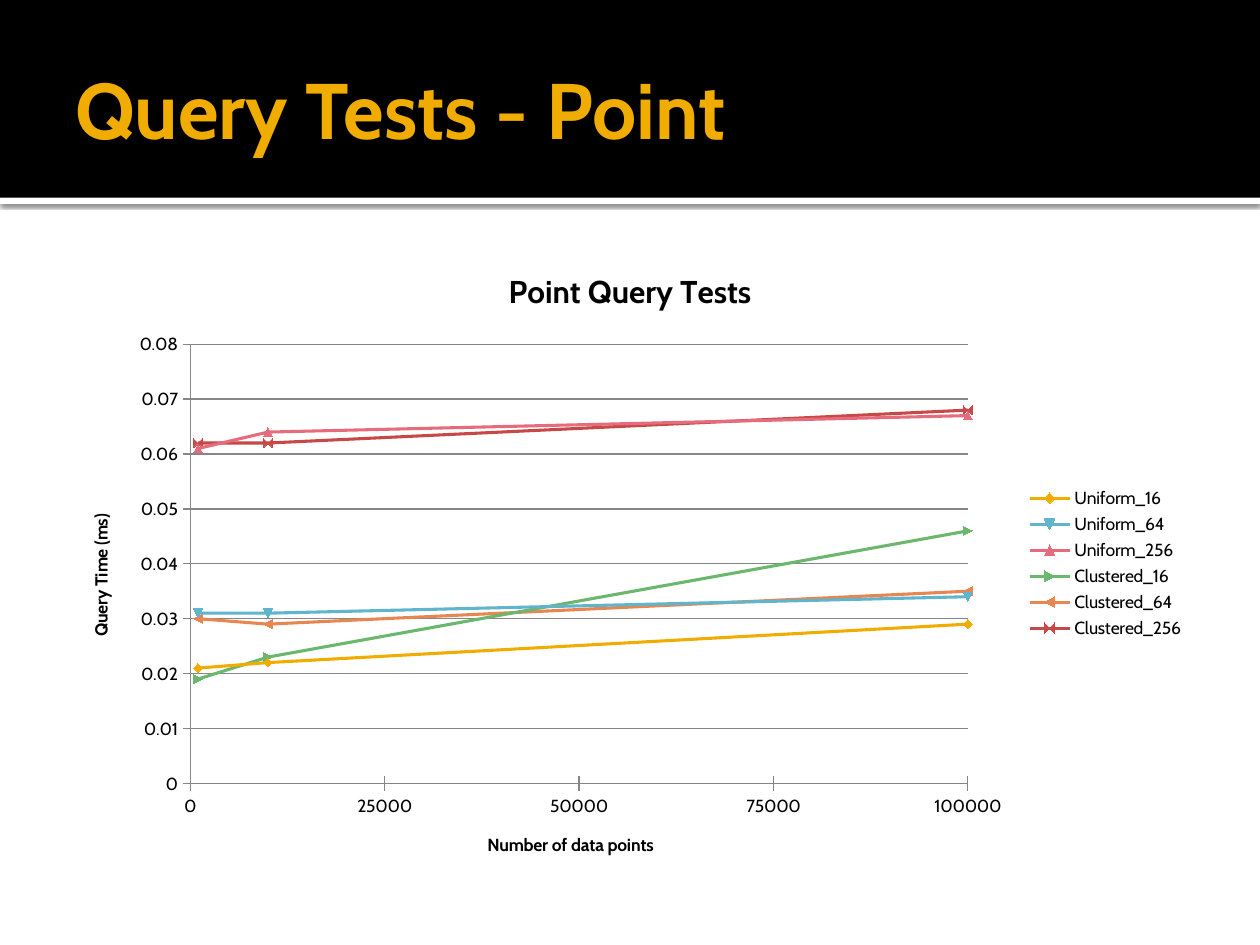
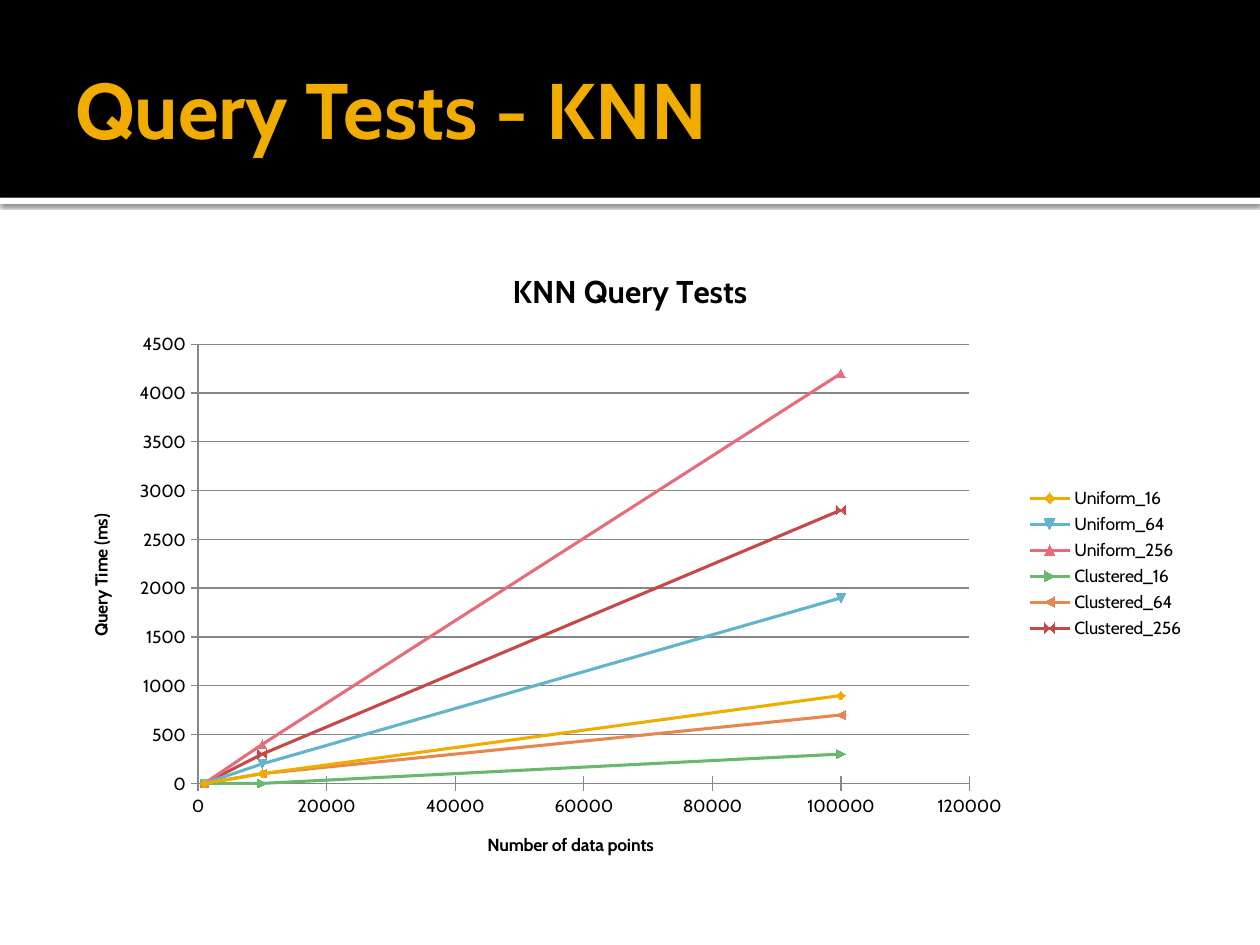
from dataclasses import dataclass

from lxml.etree import SubElement
from pptx import Presentation
from pptx.chart.data import XyChartData
from pptx.dml.color import RGBColor
from pptx.enum.chart import XL_CHART_TYPE, XL_LEGEND_POSITION, XL_TICK_MARK
from pptx.enum.shapes import MSO_SHAPE
from pptx.enum.text import MSO_ANCHOR
from pptx.oxml.ns import qn
from pptx.util import Pt

FONT = "Cabin"
COLORS = {
    "black": "000000",
    "white": "FFFFFF",
    "title": "F0AD00",
    "grid": "868686",
}
SERIES_COLORS = {
    "Uniform_16": "F0AD00",
    "Uniform_64": "60B5CC",
    "Uniform_256": "E66C7D",
    "Clustered_16": "6BB76D",
    "Clustered_64": "E88651",
    "Clustered_256": "C64847",
}
DATA_POINTS = (1000, 10000, 100000)
SLIDE_WIDTH, SLIDE_HEIGHT = 720, 540
BAND_HEIGHT, STRIP_HEIGHT = 113, 3.6


@dataclass
class QueryTest:
    name: str
    times: tuple  # one row per series, in the order of SERIES_COLORS
    size_limit: int | None = None
    size_step: int | None = None


QUERY_TESTS = (
    QueryTest(
        "Point",
        (
            (0.021, 0.022, 0.029),
            (0.031, 0.031, 0.034),
            (0.061, 0.064, 0.067),
            (0.019, 0.023, 0.046),
            (0.03, 0.029, 0.035),
            (0.062, 0.062, 0.068),
        ),
        size_limit=100000,
        size_step=25000,
    ),
    QueryTest(
        "KNN",
        (
            (0, 100, 900),
            (0, 200, 1900),
            (0, 400, 4200),
            (0, 0, 300),
            (0, 100, 700),
            (0, 300, 2800),
        ),
    ),
)


def rgb(value: str) -> RGBColor:
    return RGBColor.from_string(value)


def write_text(frame, text: str, *, size: float, color: str = "black", bold: bool = True) -> None:
    run = frame.paragraphs[0].add_run()
    run.text = text
    run.font.name = FONT
    run.font.size = Pt(size)
    run.font.bold = bold
    run.font.color.rgb = rgb(COLORS[color])


def add_bar(slide, top: float, height: float, color: str):
    bar = slide.shapes.add_shape(MSO_SHAPE.RECTANGLE, 0, Pt(top), Pt(SLIDE_WIDTH), Pt(height))
    bar.shadow.inherit = False
    bar.fill.solid()
    bar.fill.fore_color.rgb = rgb(COLORS[color])
    bar.line.fill.background()
    return bar


def add_soft_shadow(bar) -> None:
    effects = bar._element.spPr.find(qn("a:effectLst"))
    shadow = SubElement(
        effects, qn("a:outerShdw"), blurRad=str(Pt(2.5)), dist=str(Pt(0.8)),
        dir="5400000", algn="tl", rotWithShape="0",
    )
    shade = SubElement(shadow, qn("a:srgbClr"), val=COLORS["black"])
    SubElement(shade, qn("a:alpha"), val="60000")


def add_header(slide, heading: str) -> None:
    # White strip with a shadow, under the black band
    add_soft_shadow(add_bar(slide, BAND_HEIGHT, STRIP_HEIGHT, "white"))
    add_bar(slide, 0, BAND_HEIGHT, "black")

    title = slide.shapes.add_textbox(Pt(36), Pt(12.2), Pt(648), Pt(98.6)).text_frame
    title.word_wrap = True
    title.vertical_anchor = MSO_ANCHOR.MIDDLE
    title.margin_left = Pt(7.2)
    title.margin_right = title.margin_top = title.margin_bottom = Pt(3.6)
    write_text(title, heading, size=45, color="title")


def style_axis(axis, title: str, gridlines: bool) -> None:
    write_text(axis.axis_title.text_frame, title, size=10)
    axis.major_tick_mark = XL_TICK_MARK.CROSS
    axis.has_major_gridlines = gridlines
    lines = [axis.format.line]
    if gridlines:
        lines.append(axis.major_gridlines.format.line)
    for line in lines:
        line.color.rgb = rgb(COLORS["grid"])
        line.width = Pt(0.75)


def add_query_chart(slide, test: QueryTest) -> None:
    data = XyChartData()
    for name, times in zip(SERIES_COLORS, test.times):
        series = data.add_series(name)
        for size, time in zip(DATA_POINTS, times):
            series.add_data_point(size, time)

    chart = slide.shapes.add_chart(
        XL_CHART_TYPE.XY_SCATTER_LINES, Pt(36), Pt(139.7), Pt(648), Pt(364.3), data
    ).chart
    chart.font.name = FONT
    chart.font.size = Pt(10)
    chart.font.color.rgb = rgb(COLORS["black"])
    chart.has_title = True
    write_text(chart.chart_title.text_frame, f"{test.name} Query Tests", size=18)
    chart.has_legend = True
    chart.legend.position = XL_LEGEND_POSITION.RIGHT
    chart.legend.include_in_layout = False

    # Axes
    sizes = chart.category_axis
    style_axis(sizes, "Number of data points", gridlines=False)
    style_axis(chart.value_axis, "Query Time (ms)", gridlines=True)
    if test.size_limit:
        sizes.minimum_scale = 0
        sizes.maximum_scale = test.size_limit
        sizes.major_unit = test.size_step

    # Series lines and their markers
    plot = chart.plots[0]
    plot.vary_by_categories = False
    for series in plot.series:
        color = rgb(SERIES_COLORS[series.name])
        series.smooth = False
        series.format.line.color.rgb = color
        series.format.line.width = Pt(1.75)
        series.marker.format.fill.solid()
        series.marker.format.fill.fore_color.rgb = color
        series.marker.format.line.color.rgb = color


presentation = Presentation()
presentation.slide_width = Pt(SLIDE_WIDTH)
presentation.slide_height = Pt(SLIDE_HEIGHT)
for query_test in QUERY_TESTS:
    page = presentation.slides.add_slide(presentation.slide_layouts[6])
    add_header(page, f"Query Tests - {query_test.name}")
    add_query_chart(page, query_test)
presentation.save("out.pptx")
